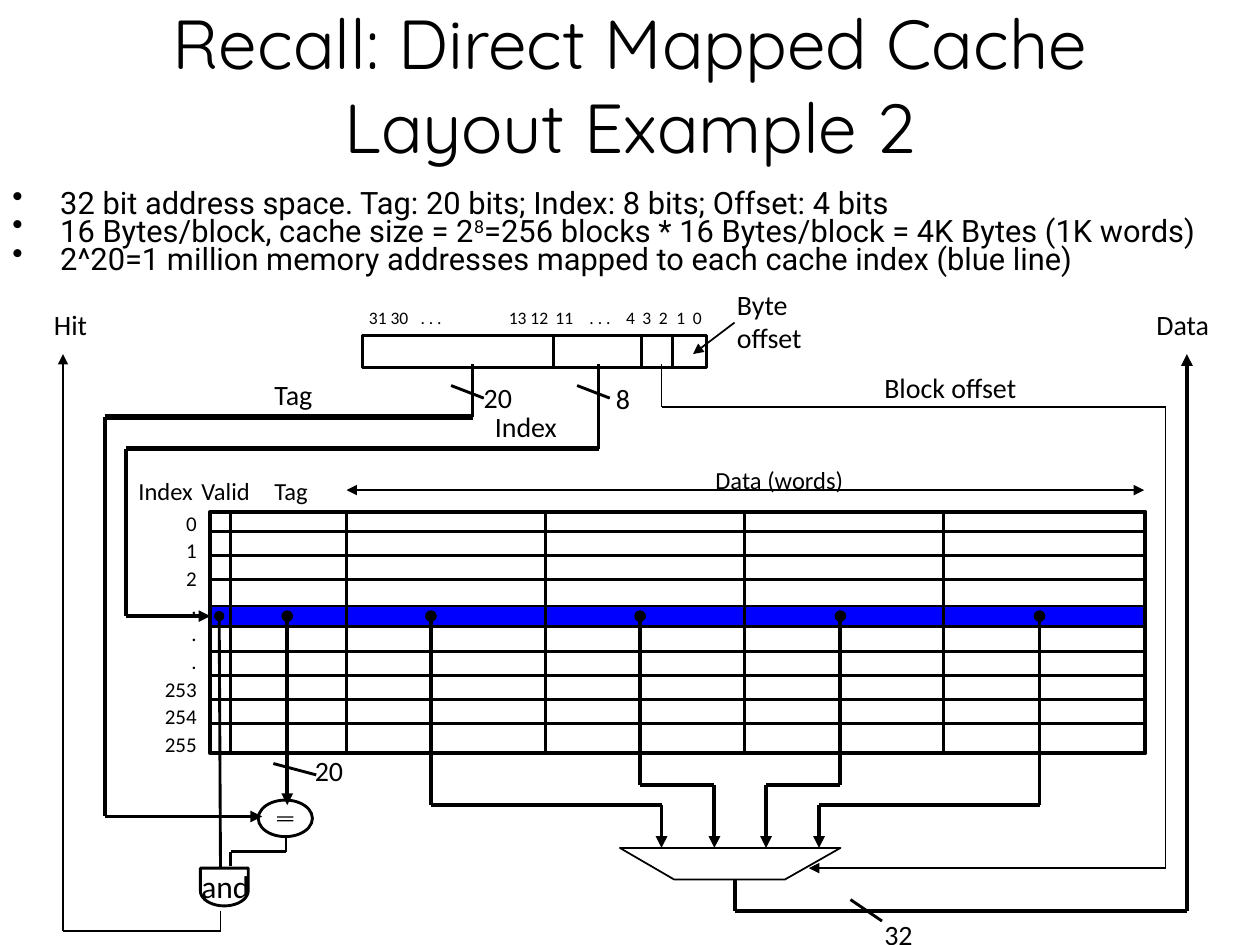
from math import cos, pi, sin
from typing import NamedTuple

from lxml.etree import SubElement as Sub
from pptx import Presentation
from pptx.dml.color import RGBColor
from pptx.enum.shapes import MSO_SHAPE as Kind
from pptx.enum.text import MSO_ANCHOR as Anchor, PP_ALIGN as Align
from pptx.oxml.ns import qn
from pptx.util import Cm, Pt

BLACK = RGBColor(0, 0, 0)
BLUE = RGBColor(0, 0, 255)
THIN, MID, BOLD, WIDE = 1, 1.63, 2.25, 3
LEFT, RIGHT, TOP, BASE = 1.67, 9.09, 4.06, 5.98
ROW = 4.89


class Label(NamedTuple):
    text: str
    x: float
    y: float
    w: float
    h: float = 0.37
    size: float = 16
    wrap: bool = False


class Wire(NamedTuple):
    points: list
    width: float = BOLD
    head: str = ""
    tail: str = ""


class Input(NamedTuple):
    start: float
    turn: float
    end: float


LABELS = [
    Label("8", 4.79, 2.98, 0.33),
    Label("Index", 3.83, 3.2, 0.74),
    Label("Data (words)", 5.58, 3.64, 1.23, 0.34, 14),
    Label("Index", 1, 3.73, 0.68, 0.33, 14),
    Label("Tag", 2.08, 3.73, 0.53, 0.33, 14),
    Label("Valid", 1.5, 3.73, 0.63, 0.33, 14),
    Label("Byte offset", 5.75, 2.23, 0.92, 0.64, wrap=True),
    Label("20", 2.4, 5.93, 0.45),
    Label("20", 3.74, 2.97, 0.45),
    Label("Tag", 2.08, 2.95, 0.58),
    Label("Hit", 0.33, 2.39, 0.47),
    Label("Data", 9.08, 2.39, 0.67),
    Label("32", 6.92, 7.23, 0.45),
    Label("Block offset", 6.92, 2.89, 1.75, wrap=True),
    Label("and", 1.5, 6.83, 1.03, 0.4, 18, True),
]
LINES = [4.22, 4.41, 4.6, 5.17, 5.36, 5.55, 5.74]
SPLITS = [1.83] + [2.75 + i * 1.58 for i in range(4)]
FIELDS = [4.39, 5.09, 5.34]
TICKS = [(4.58, 3.06, 4.84, 3.16), (3.58, 3.06, 3.84, 3.16),
         (2.17, 6.06, 2.51, 6.15), (6.75, 7.14, 7, 7.31)]
INPUTS = [Input(3.42, 6.39, 5.25), Input(5.08, 6.23, 5.67),
          Input(6.67, 6.23, 6.08), Input(8.25, 6.39, 6.5)]
WIRES = [
    Wire([(4.75, 2.89), (4.75, 3.56)]),
    Wire([(1, 3.56), (4.75, 3.56)], WIDE),
    Wire([(3.75, 2.89), (3.75, 3.31)]),
    Wire([(0.83, 3.31), (3.75, 3.31)], WIDE),
    Wire([(0.83, 3.31), (0.83, 6.48), (2.08, 6.48)], tail="triangle"),
    Wire([(2.28, ROW), (2.28, 6.39)], BOLD, "oval", "triangle"),
    Wire([(1.74, ROW), (1.75, 6.89)], MID, "oval"),
    Wire([(2.27, 6.64), (2.27, 6.76), (1.83, 6.76), (1.83, 6.87)], MID),
    Wire([(1.75, 7.23), (1.75, 7.39), (0.5, 7.39), (0.5, 2.81)], THIN, tail="triangle"),
    Wire([(2.75, 3.89), (9.08, 3.89)], THIN, "triangle", "triangle"),
    Wire([(5.83, 2.56), (5.5, 2.81)], THIN, tail="triangle"),
    Wire([(5.25, 2.89), (5.25, 3.23), (9.25, 3.23), (9.25, 6.89), (6.42, 6.89)],
         THIN, tail="triangle"),
    Wire([(5.83, 6.98), (5.83, 7.23), (9.42, 7.23), (9.42, 2.81)], tail="triangle"),
]
WIRES += [Wire([(x, y), (u, v)], MID) for x, y, u, v in TICKS]
WIRES += [Wire([(p.start, ROW), (p.start, p.turn), (p.end, p.turn), (p.end, 6.73)],
               BOLD, "oval", "triangle") for p in INPUTS]
BITS = ["31 30", ". . .", "13 12", "11", ". . .", "4", "3", "2", "1", "0"]
STOPS = [0.41, 1.11, 1.48, 1.75, 2.04, 2.17, 2.3, 2.44, 2.57]
FACTS = [
    ["32 bit address space. Tag: 20 bits; Index: 8 bits; Offset: 4 bits"],
    ["16 Bytes/block, cache size = 2", "8",
     "=256 blocks * 16 Bytes/block = 4K Bytes (1K words)"],
    ["2^20=1 million memory addresses mapped to each cache index (blue line)"],
]


def inch(size: float) -> Cm:
    return Cm(size * 2.54)


def style(para, size: float, face: str = "Calibri") -> None:
    para.font.size, para.font.name = Pt(size), face
    para.font.color.rgb = BLACK


def add_box(slide, x: float, y: float, w: float, h: float, wrap: bool = True):
    frame = slide.shapes.add_textbox(inch(x), inch(y), inch(w), inch(h)).text_frame
    frame.word_wrap = wrap
    return frame


def add_label(slide, label: Label) -> None:
    frame = add_box(slide, label.x, label.y, label.w, label.h, label.wrap)
    frame.text = label.text
    style(frame.paragraphs[0], label.size)


def paint(shape, width: float = MID, fill=None):
    shape.shadow.inherit = False
    if fill is None:
        shape.fill.background()
    else:
        shape.fill.solid()
        shape.fill.fore_color.rgb = fill
    if width:
        shape.line.width = Pt(width)
        shape.line.color.rgb = BLACK
    else:
        shape.line.fill.background()
    return shape


def add_form(slide, kind, x: float, y: float, w: float, h: float,
             width: float = MID, fill=None):
    shape = slide.shapes.add_shape(kind, inch(x), inch(y), inch(w), inch(h))
    return paint(shape, width, fill)


def add_outline(slide, points: list, width: float) -> None:
    spots = [(inch(x), inch(y)) for x, y in points]
    pen = slide.shapes.build_freeform(*spots[0])
    pen.add_line_segments(spots[1:], close=True)
    paint(pen.convert_to_shape(), width)


def add_wire(slide, wire: Wire):
    last = len(wire.points) - 2
    for i, (start, end) in enumerate(zip(wire.points, wire.points[1:])):
        link = slide.shapes.add_connector(1, *map(inch, start + end))
        link.line.width = Pt(wire.width)
        link.line.color.rgb = BLACK
        props = link._element.spPr
        stroke = props.find(qn("a:ln"))
        if wire.head and i == 0:
            Sub(stroke, qn("a:headEnd"), type=wire.head)
        if wire.tail and i == last:
            Sub(stroke, qn("a:tailEnd"), type=wire.tail)
        Sub(props, qn("a:effectLst"))
    return link


def add_text(slide) -> None:
    frame = add_box(slide, 0, 1.51, 10.26, 1.06)
    for i, parts in enumerate(FACTS):
        para = frame.add_paragraph() if i else frame.paragraphs[0]
        para.line_spacing = 0.6
        if i:
            para.space_before = Pt(3.5)
        props = para._p.get_or_add_pPr()
        props.set("marL", str(inch(0.38)))
        props.set("indent", str(-inch(0.38)))
        Sub(props, qn("a:buChar"), char="•")
        style(para, 17.6, "Roboto")
        for part in parts:
            run = para.add_run()
            run.text = part
            if part == "8":
                run._r.get_or_add_rPr().set("baseline", "30000")
    frame = add_box(slide, 0.5, 0.04, 9, 1.25)
    frame.vertical_anchor = Anchor.MIDDLE
    frame.text = "Recall: Direct Mapped Cache Layout Example 2"
    title = frame.paragraphs[0]
    title.alignment = Align.CENTER
    style(title, 39.6, "Quicksand")


def add_cache(slide) -> None:
    row = add_form(slide, Kind.RECTANGLE, LEFT, 4.81, RIGHT - LEFT, 0.16, MID, BLUE)
    for y in LINES:
        add_wire(slide, Wire([(LEFT, y), (RIGHT, y)], MID))
    add_form(slide, Kind.RECTANGLE, LEFT, TOP, RIGHT - LEFT, BASE - TOP, BOLD)
    for x in SPLITS:
        add_wire(slide, Wire([(x, TOP), (x, BASE)], MID))
    link = add_wire(slide, Wire([(1, 3.56), (1, ROW), (LEFT, ROW)], tail="triangle"))
    link.end_connect(row, 1)
    frame = add_box(slide, 1.18, 3.98, 0.48, 2.09, False)
    frame.text = "\n".join(["0", "1", "2", ".", ".", ".", "253", "254", "255"])
    for para in frame.paragraphs:
        para.alignment, para.line_spacing = Align.RIGHT, 1.1
        style(para, 12)


def add_address(slide) -> None:
    add_form(slide, Kind.RECTANGLE, 2.88, 2.66, 2.73, 0.26)
    for x in FIELDS:
        add_wire(slide, Wire([(x, 2.91), (x, 2.65)], MID))
    frame = add_box(slide, 2.83, 2.39, 3.35, 0.27)
    frame.text = "\t".join(BITS)
    para = frame.paragraphs[0]
    tabs = Sub(para._p.get_or_add_pPr(), qn("a:tabLst"))
    for stop in STOPS:
        Sub(tabs, qn("a:tab"), pos=str(inch(stop)), algn="l")
    style(para, 10)


def add_gates(slide) -> None:
    add_form(slide, Kind.OVAL, 2.05, 6.35, 0.43, 0.29)
    for y in (6.48, 6.51):
        add_form(slide, Kind.RECTANGLE, 2.2, y, 0.13, 0.01, 0, BLACK)
    arc = [(1.78 - 0.19 * cos(pi * i / 20), 7.07 + 0.12 * sin(pi * i / 20))
           for i in range(21)]
    add_outline(slide, [(1.59, 6.89), *arc, (1.97, 6.89)], MID)
    add_outline(slide, [(4.92, 6.73), (5.35, 6.98), (6.23, 6.98), (6.67, 6.73)], THIN)


def main() -> None:
    """Build the cache layout slide and save it."""
    deck = Presentation()
    deck.slide_width, deck.slide_height = inch(10), inch(7.5)
    slide = deck.slides.add_slide(deck.slide_layouts[6])
    for draw in (add_text, add_cache, add_address, add_gates):
        draw(slide)
    for wire in WIRES:
        add_wire(slide, wire)
    for label in LABELS:
        add_label(slide, label)
    deck.save("out.pptx")


if __name__ == "__main__":
    main()
